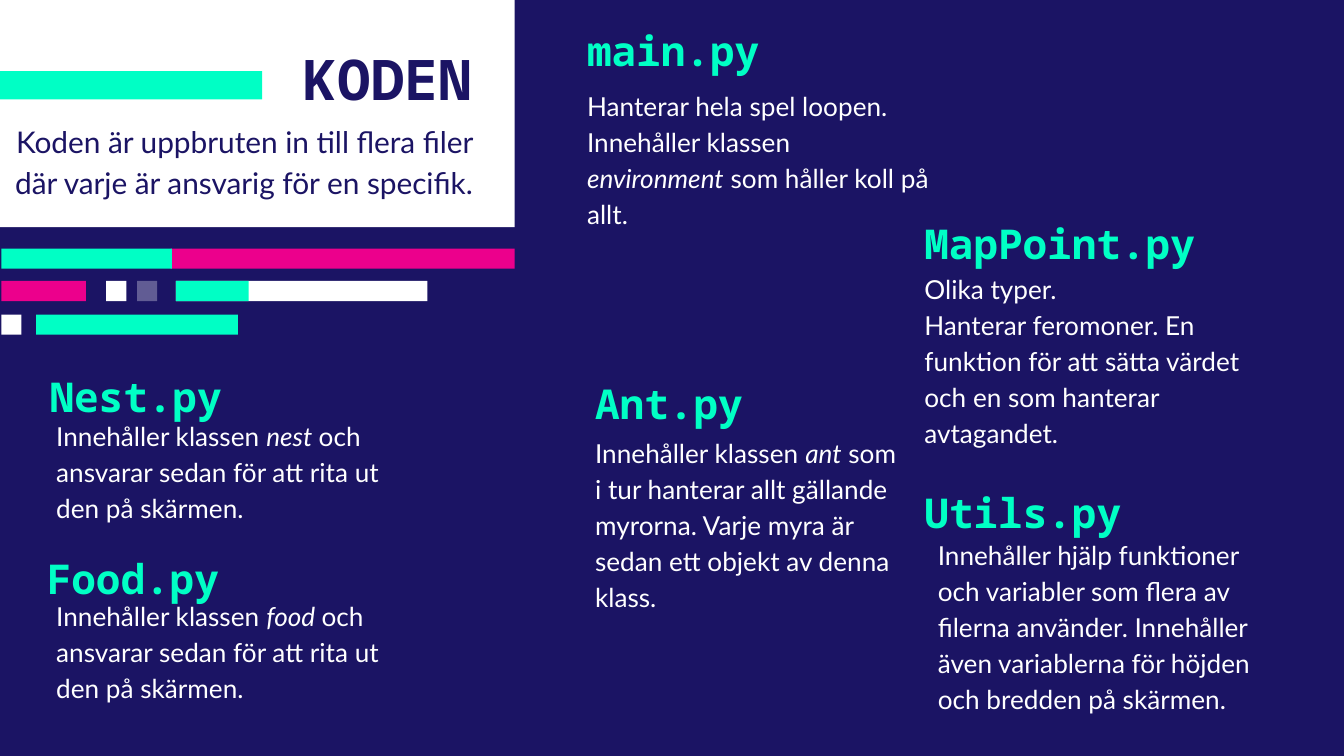
from lxml.etree import SubElement
from pptx import Presentation
from pptx.dml.color import RGBColor
from pptx.enum.shapes import MSO_SHAPE
from pptx.enum.text import MSO_ANCHOR, PP_ALIGN
from pptx.oxml.ns import qn
from pptx.util import Inches, Pt

NAVY, MINT, PINK, WHITE = "1B1464", "00FFC5", "EC008C", "FFFFFF"


def color(code):
    return RGBColor.from_string(code)


class Deck:
    """Holds the style and the current slide, and draws each kind of element."""

    title = {"name": "Noto Sans Mono", "size": Pt(22), "bold": True}
    prose = {"name": "Lato", "size": Pt(14)}

    def __init__(self, wide, high):
        self.show = Presentation()
        self.show.slide_width = Inches(wide)
        self.show.slide_height = Inches(high)
        self.slide = self.show.slides.add_slide(self.show.slide_layouts[6])
        fill = self.slide.background.fill
        fill.solid()
        fill.fore_color.rgb = color(NAVY)

    def bar(self, x, y, w, h, code, alpha=None):
        box = map(Inches, (x, y, w, h))
        shape = self.slide.shapes.add_shape(MSO_SHAPE.RECTANGLE, *box)
        shape.shadow.inherit = False
        shape.line.fill.background()
        shape.fill.solid()
        shape.fill.fore_color.rgb = color(code)
        if alpha:
            tint = shape.fill._xPr.find(".//" + qn("a:srgbClr"))
            SubElement(tint, qn("a:alpha")).set("val", str(alpha * 1000))

    def text(self, box, lines, style, code, form, anchor):
        frame = self.slide.shapes.add_textbox(*map(Inches, box)).text_frame
        setup = {"word_wrap": True, "vertical_anchor": anchor,
                 "margin_top": 0, "margin_bottom": 0}
        for key, value in setup.items():
            setattr(frame, key, value)
        for row, line in enumerate(lines):
            para = frame.add_paragraph() if row else frame.paragraphs[0]
            for key, value in form.items():
                setattr(para, key, value)
            for part, words in enumerate(line.split("*")):
                run = para.add_run()
                run.text = words
                for key, value in {**style, "italic": part % 2 == 1}.items():
                    setattr(run.font, key, value)
                run.font.color.rgb = color(code)

    def head(self, box, words, code=MINT, size=22, align=PP_ALIGN.LEFT):
        style = {**self.title, "size": Pt(size)}
        self.text(box, [words], style, code, {"alignment": align}, MSO_ANCHOR.MIDDLE)

    def body(self, box, lines, code=WHITE, size=14, align=PP_ALIGN.LEFT):
        style = {**self.prose, "size": Pt(size)}
        form = {"alignment": align, "line_spacing": 1.15}
        self.text(box, lines, style, code, form, MSO_ANCHOR.TOP)

    def save(self):
        self.show.save("out.pptx")


def main():
    deck = Deck(10, 10 * 9 / 16)
    deck.bar(0, 0, 3.83, 1.69, WHITE)
    deck.bar(0, 0.53, 1.95, 0.21, MINT)
    deck.head((0.95, 0.37, 2.66, 0.43), "KODEN", NAVY, 30, PP_ALIGN.RIGHT)
    intro = "Koden är uppbruten in till flera filer där varje är ansvarig för en specifik."
    deck.body((0, 0.88, 3.62, 0.8), [intro], NAVY, 16, PP_ALIGN.RIGHT)

    rows = {
        1.85: [(1.27, 2.56, PINK), (0.01, 1.27, MINT)],
        2.09: [(1.31, 1.87, WHITE), (1.31, 0.54, MINT), (0.01, 0.63, PINK),
               (1.02, 0.15, WHITE, 31), (0.79, 0.15, WHITE)],
        2.34: [(0.01, 0.15, WHITE), (0.27, 1.5, MINT)],
    }
    for y, bars in rows.items():
        for x, w, *paint in bars:
            deck.bar(x, y, w, 0.15, *paint)

    draw = "Innehåller klassen *{} *och ansvarar sedan för att rita ut den på skärmen."
    files = [
        ("main.py", (4.27, 0.22, 2.95, 0.3), (4.27, 0.64, 2.76, 0.79),
         ["Hanterar hela spel loopen.",
          "Innehåller klassen *environment* som håller koll på allt."]),
        ("MapPoint.py", (6.78, 1.69, 2.76, 0.24), (6.78, 2, 2.76, 1.05),
         ["Olika typer.",
          "Hanterar feromoner. En funktion för att sätta värdet "
          "och en som hanterar avtagandet."]),
        ("Utils.py", (6.78, 3.66, 2.95, 0.3), (6.88, 3.98, 2.76, 1.33),
         ["Innehåller hjälp funktioner och variabler som flera av filerna använder. "
          "Innehåller även variablerna för höjden och bredden på skärmen."]),
        ("Nest.py", (0.27, 2.8, 2.95, 0.3), (0.32, 3.09, 2.76, 0.89),
         [draw.format("nest")]),
        ("Food.py", (0.25, 4.18, 2.76, 0.24), (0.32, 4.43, 2.76, 0.89),
         [draw.format("food")]),
        ("Ant.py", (4.33, 2.85, 2.95, 0.3), (4.33, 3.22, 2.47, 1.42),
         ["Innehåller klassen *ant* som i tur hanterar allt gällande myrorna. "
          "Varje myra är sedan ett objekt av denna klass."]),
    ]
    for name, top, box, lines in files:
        deck.head(top, name)
        deck.body(box, lines)
    deck.save()


if __name__ == "__main__":
    main()
